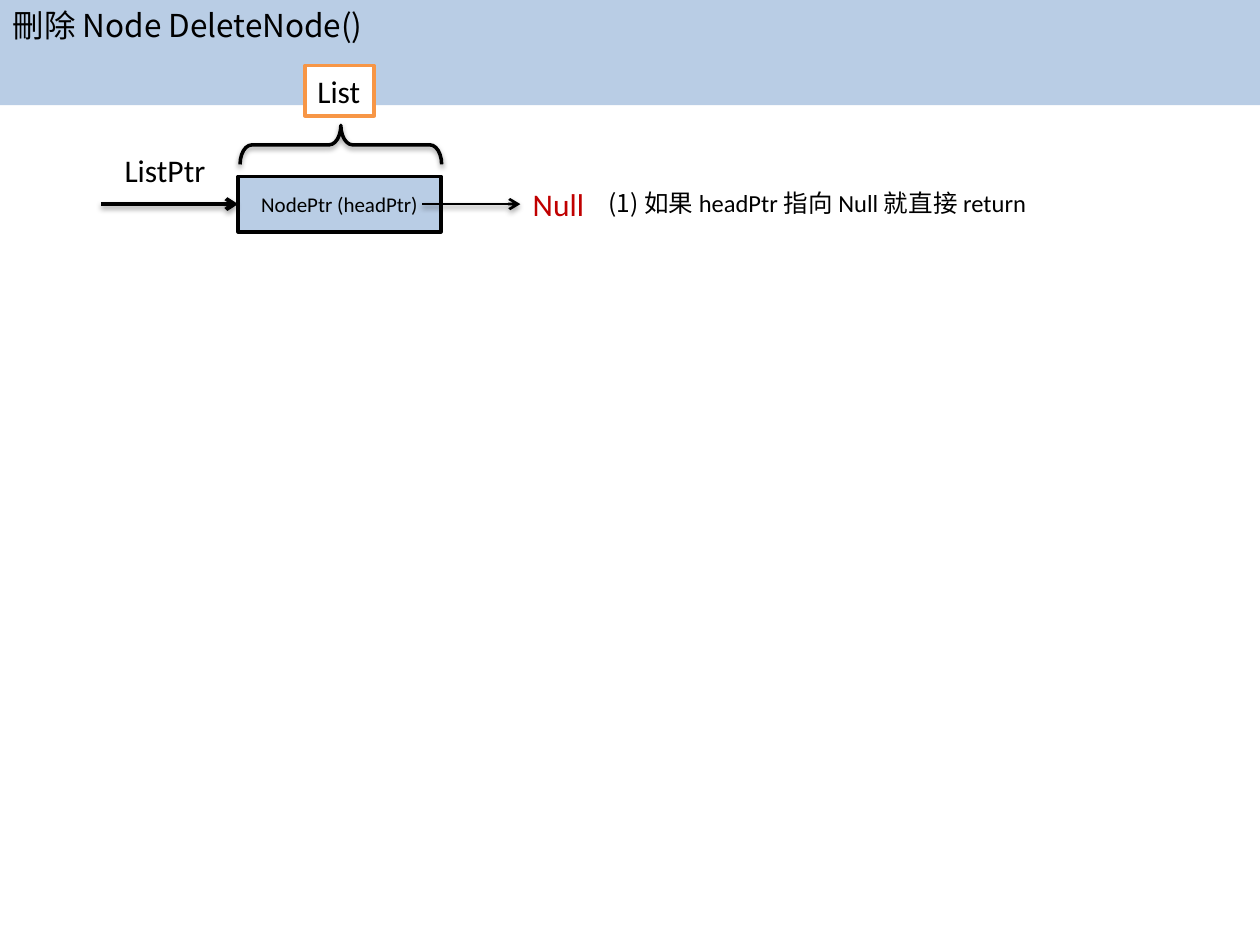
from dataclasses import dataclass

from lxml.etree import SubElement
from pptx import Presentation
from pptx.dml.color import RGBColor
from pptx.enum.shapes import MSO_CONNECTOR, MSO_SHAPE
from pptx.enum.text import MSO_ANCHOR, MSO_AUTO_SIZE, PP_ALIGN
from pptx.oxml.ns import qn
from pptx.util import Inches, Pt


@dataclass(frozen=True)
class Theme:
    """Colours, fonts and type sizes."""
    ink: str = "000000"
    pale: str = "B9CDE5"
    paper: str = "FFFFFF"
    orange: str = "F79646"
    red: str = "C00000"
    latin: str = "Calibri"
    cjk: str = "Noto Sans CJK SC"
    large: int = 18
    note: int = 14
    small: int = 12
    edge: float = 2


class Deck:
    """Holds the theme and the current slide."""

    def __init__(self, theme):
        """Start a file with one title-only slide."""
        self.theme = theme
        self.file = Presentation()
        self.file.slide_width, self.file.slide_height = Inches(10), Inches(7.5)
        self.slide = self.file.slides.add_slide(self.file.slide_layouts[5])

    def letter(self, shape, runs, size, color=None, align=PP_ALIGN.LEFT,
               anchor=MSO_ANCHOR.TOP, wrap=True, fit=True):
        """Fill a shape with one paragraph of (text, font) runs."""
        frame = shape.text_frame
        frame.word_wrap = wrap
        frame.auto_size = MSO_AUTO_SIZE.SHAPE_TO_FIT_TEXT if fit else MSO_AUTO_SIZE.NONE
        frame.vertical_anchor = anchor
        para = frame.paragraphs[0]
        para.alignment = align
        para.font.size = Pt(size)
        para.font.color.rgb = RGBColor.from_string(color or self.theme.ink)
        fonts = {font for _, font in runs}
        if len(fonts) == 1:
            para.font.name = fonts.pop()
        for text, font in runs:
            run = para.add_run()
            run.text = text
            if para.font.name is None:
                run.font.name = font

    def paint(self, shape, fill):
        """Give a shape a solid fill, or none."""
        if fill:
            shape.fill.solid()
            shape.fill.fore_color.rgb = RGBColor.from_string(fill)
        else:
            shape.fill.background()

    def shade(self, parent):
        """Add a soft shadow to an effect list."""
        shadow = SubElement(parent, qn("a:outerShdw"), blurRad="40000",
                            dist="20000", dir="5400000", rotWithShape="0")
        color = SubElement(shadow, qn("a:srgbClr"), val=self.theme.ink)
        SubElement(color, qn("a:alpha"), val="38000")

    def title(self, text, height):
        """Turn the title into a filled bar across the top."""
        bar = self.slide.shapes.title
        bar.left, bar.top = Inches(0), Inches(0)
        bar.width, bar.height = self.file.slide_width, Inches(height)
        self.paint(bar, self.theme.pale)
        self.letter(bar, [(text, self.theme.cjk)], self.theme.large)

    def shape(self, kind, box, line, fill=None):
        """Add an outlined preset shape."""
        item = self.slide.shapes.add_shape(kind, *map(Inches, box))
        item.shadow.inherit = False
        self.paint(item, fill)
        item.line.color.rgb = RGBColor.from_string(line)
        item.line.width = Pt(self.theme.edge)
        return item

    def label(self, box, runs, size, color=None):
        """Add a plain text box."""
        item = self.slide.shapes.add_textbox(*map(Inches, box))
        self.letter(item, runs, size, color)
        return item

    def brace(self, box):
        """Add a brace turned to point up."""
        item = self.shape(MSO_SHAPE.LEFT_BRACE, box, self.theme.ink)
        item.rotation = 90
        item.adjustments[0] = 0.3
        self.shade(item._element.spPr.find(qn("a:effectLst")))

    def arrow(self, start, end, y, width, target):
        """Add a level arrow that joins the left side of its target."""
        item = self.slide.shapes.add_connector(
            MSO_CONNECTOR.STRAIGHT, Inches(start), Inches(y), Inches(end), Inches(y))
        item.end_connect(target, 1)
        item.line.color.rgb = RGBColor.from_string(self.theme.ink)
        item.line.width = Pt(width)
        props = item._element.spPr
        SubElement(props.find(qn("a:ln")), qn("a:tailEnd"), type="arrow")
        self.shade(SubElement(props, qn("a:effectLst")))


def main():
    """Build the slide about deleting a node."""
    look = Theme()
    deck = Deck(look)
    deck.title("刪除 Node DeleteNode()", 0.4)
    axis, high, tall = 1.62, 0.4, 0.44

    deck.label((0.89, 1.15, 0.86, high), [("ListPtr", look.latin)], look.large)
    node = deck.shape(MSO_SHAPE.RECTANGLE, (1.89, axis - tall / 2, 1.61, tall),
                      look.ink, look.pale)
    deck.letter(node, [("NodePtr (headPtr)", look.latin)], look.small,
                align=PP_ALIGN.CENTER, anchor=MSO_ANCHOR.MIDDLE, fit=False)
    deck.brace((2.55, 0.35, 0.31, 1.6))
    head = deck.shape(MSO_SHAPE.RECTANGLE, (2.42, 0.52, 0.55, high),
                      look.orange, look.paper)
    deck.letter(head, [("List", look.latin)], look.large, wrap=False)
    null = deck.label((4.13, axis - high / 2, 0.63, high),
                      [("Null", look.latin)], look.large, look.red)
    deck.label((4.73, 1.44, 3.66, 0.34),
               [("(1) 如果 ", look.cjk),
                ("headPtr 指向 Null 就直接 return", look.latin)], look.note)

    deck.arrow(0.8, 1.89, axis, 2.25, node)
    deck.arrow(3.35, 4.13, axis, 1.5, null)
    deck.file.save("out.pptx")


if __name__ == "__main__":
    main()
